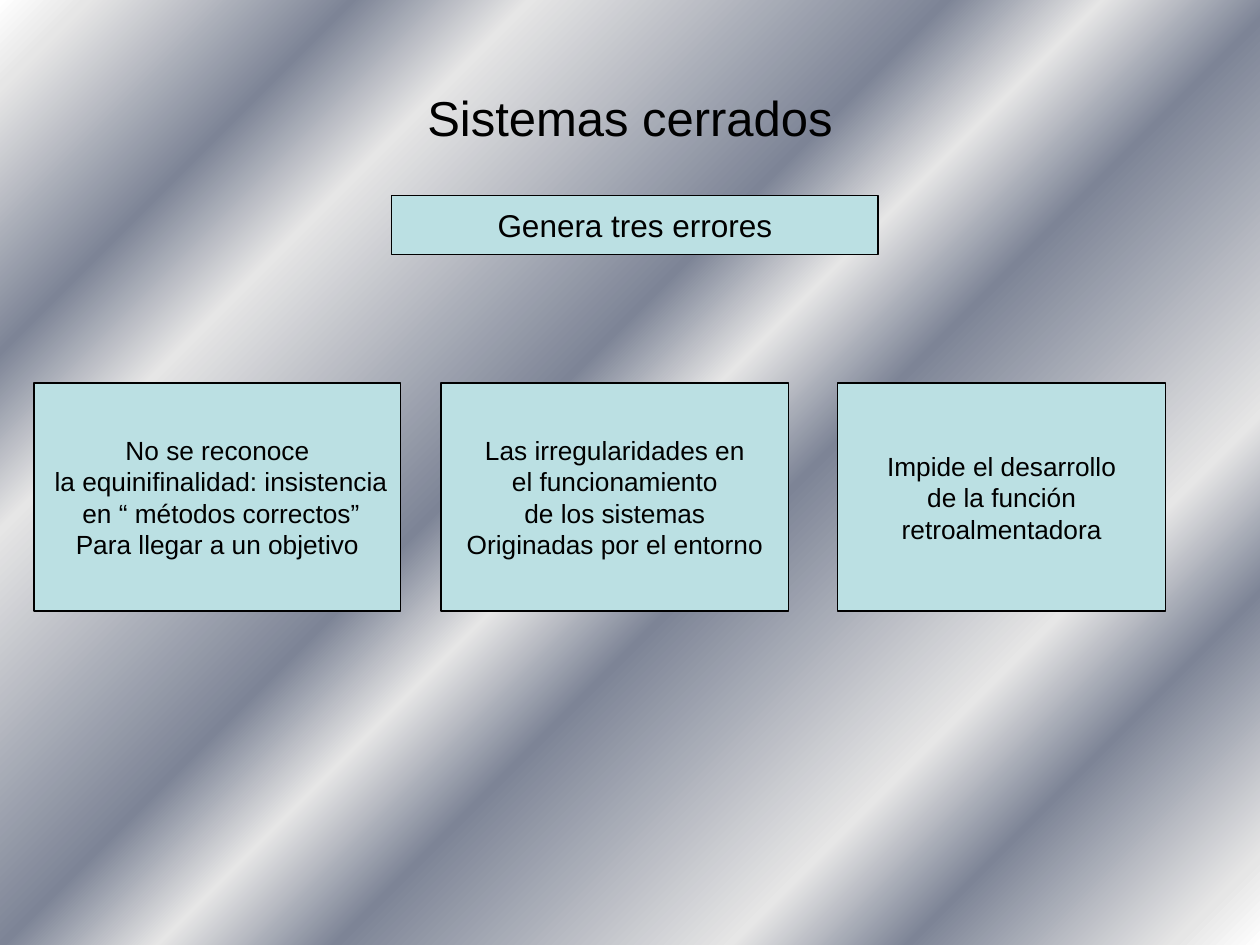
from dataclasses import dataclass

from lxml import etree
from pptx import Presentation, util as u
from pptx.dml.color import RGBColor
from pptx.enum import shapes, text
from pptx.oxml.ns import qn

PX = 9144


@dataclass(frozen=True)
class Theme:
    face: str = "Arial"
    ink: str = "000000"
    fill: str = "BBE0E3"
    white: str = "FFFFFF"
    light: str = "E6E6E6"
    dark: str = "7D8496"
    title: int = 28
    head: int = 18
    body: int = 15
    line: float = 0.75


@dataclass(frozen=True)
class Box:
    left: int
    top: int
    width: int
    height: int
    lines: tuple[str, ...]
    size: int


THEME = Theme()
TITLE = Box(50, 30, 900, 125, ("Sistemas cerrados",), THEME.title)
HEAD = Box(311, 155, 386, 47, ("Genera tres errores",), THEME.head)
ERRORS = (
    (27, 291, ("No se reconoce", " la equinifinalidad: insistencia",
               " en “ métodos correctos”", "Para llegar a un objetivo")),
    (350, 276, ("Las irregularidades en", " el funcionamiento ",
                "de los sistemas", "Originadas por el entorno")),
    (665, 260, ("Impide el desarrollo", " de la función ", "retroalmentadora")),
)
STOPS = (
    (0, THEME.white), (4, THEME.light), (16, THEME.dark), (24, THEME.light),
    (43, THEME.dark), (50, THEME.light), (58, THEME.dark), (76, THEME.light),
    (84, THEME.dark), (96, THEME.light), (100, THEME.white),
)


def apply(obj, form: dict) -> None:
    for name, value in form.items():
        setattr(obj, name, value)


def paint(slide) -> None:
    fill = slide.background.fill
    fill.gradient()
    fill.gradient_angle = 315
    stops = next(slide.element.iter(qn("a:gsLst")))
    for old in list(stops):
        stops.remove(old)
    for place, color in STOPS:
        stop = etree.SubElement(stops, qn("a:gs"), pos=str(place * 1000))
        etree.SubElement(stop, qn("a:srgbClr"), val=color)


def write(shape, box: Box, wrap: bool) -> None:
    frame = shape.text_frame
    apply(frame, {
        "text": "\n".join(box.lines),
        "auto_size": text.MSO_AUTO_SIZE.NONE,
        "word_wrap": wrap,
        "vertical_anchor": text.MSO_ANCHOR.MIDDLE,
    })
    for para in frame.paragraphs:
        para.alignment = text.PP_ALIGN.CENTER
        for run in para.runs:
            apply(run.font, {"name": THEME.face, "size": u.Pt(box.size)})
            run.font.color.rgb = RGBColor.from_string(THEME.ink)


def place(box: Box) -> dict[str, int]:
    return {side: getattr(box, side) * PX
            for side in ("left", "top", "width", "height")}


def draw(slide, box: Box) -> None:
    shape = slide.shapes.add_shape(
        shapes.MSO_SHAPE.RECTANGLE, **place(box))
    shape.shadow.inherit = False
    shape.fill.solid()
    shape.fill.fore_color.rgb = RGBColor.from_string(THEME.fill)
    shape.line.color.rgb = RGBColor.from_string(THEME.ink)
    shape.line.width = u.Pt(THEME.line)
    write(shape, box, False)


def main() -> None:
    deck = Presentation()
    apply(deck, {"slide_width": 1000 * PX, "slide_height": 750 * PX})
    slide = deck.slides.add_slide(deck.slide_layouts[5])
    paint(slide)
    title = slide.shapes.title
    apply(title, place(TITLE))
    write(title, TITLE, True)
    draw(slide, HEAD)
    for left, width, lines in ERRORS:
        draw(slide, Box(left, 304, width, 181, lines, THEME.body))
    deck.save("out.pptx")


if __name__ == "__main__":
    main()
